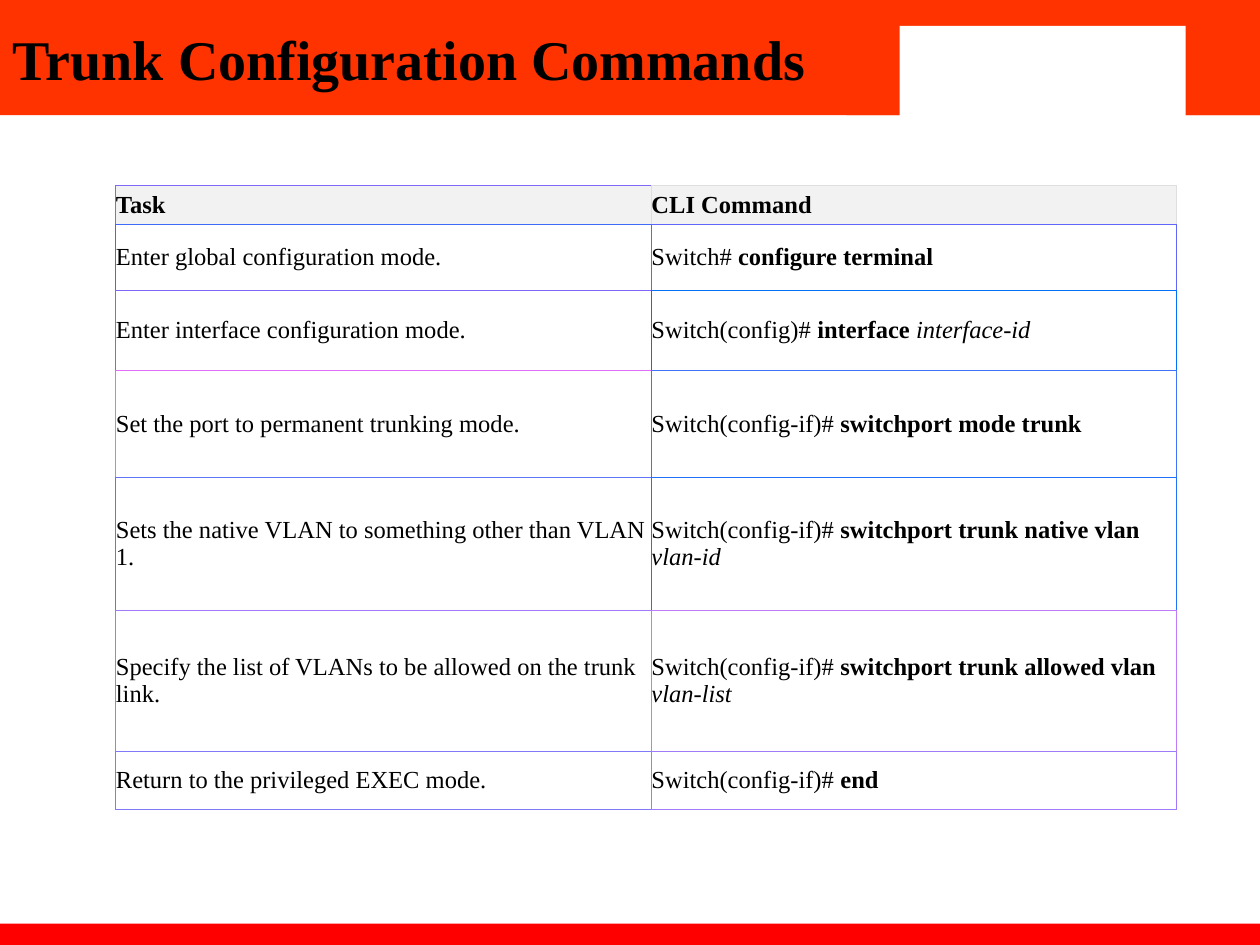
"""Build the slide that lists the trunk configuration commands."""
from dataclasses import dataclass
from itertools import zip_longest
from typing import NamedTuple

from lxml.etree import SubElement
from pptx import Presentation
from pptx.dml.color import RGBColor
from pptx.enum.shapes import MSO_SHAPE as Shape
from pptx.enum.text import MSO_ANCHOR as Anchor, MSO_AUTO_SIZE as AutoSize, PP_ALIGN as Align
from pptx.oxml.ns import qn
from pptx.util import Inches, Pt

WIDTH, HEIGHT = Inches(10), Inches(7.5)
FONT = "Times New Roman"
BLACK = RGBColor(0x00, 0x00, 0x00)
WHITE = RGBColor(0xFF, 0xFF, 0xFF)
HEADER_GREY = RGBColor(0xF2, 0xF2, 0xF2)
ORANGE = RGBColor(0xFF, 0x33, 0x00)
RED = RGBColor(0xFF, 0x00, 0x00)
TASK_EDGES = [
    RGBColor(0x80, 0x69, 0xF8), RGBColor(0x40, 0x6B, 0xF8), RGBColor(0x80, 0x66, 0xF8),
    RGBColor(0xE0, 0x6E, 0xF8), RGBColor(0x60, 0x74, 0xF8), RGBColor(0xA0, 0x7A, 0xF8),
    RGBColor(0x80, 0x79, 0xF8),
]
COMMAND_EDGES = [
    RGBColor(0xDF, 0xDF, 0xDF), RGBColor(0x60, 0x67, 0xF8), RGBColor(0x00, 0x71, 0xF8),
    RGBColor(0x40, 0x74, 0xF8), RGBColor(0x20, 0x73, 0xF8), RGBColor(0xC0, 0x7C, 0xF8),
    RGBColor(0xA0, 0x7B, 0xF8),
]


class Area(NamedTuple):
    """A rectangle in percent of the slide's width and height."""
    left: float
    top: float
    width: float
    height: float

    def lengths(self) -> tuple[int, int, int, int]:
        """Return the rectangle in slide units."""
        return across(self.left), down(self.top), across(self.width), down(self.height)


class Band(NamedTuple):
    """A plain coloured rectangle."""
    area: Area
    color: RGBColor


@dataclass
class Step:
    """A table row: a task, and a command as prompt, keyword and argument."""
    height: float
    task: str
    prompt: str
    keyword: str = ""
    argument: str = ""


HEADER_HEIGHT = 12.2
TITLE_AREA = Area(0, 0, 70.8, HEADER_HEIGHT)
BANDS = [
    Band(Area(0, 0, 100, HEADER_HEIGHT), ORANGE),
    Band(Area(0, 97.73, 100, 2.93), RED),
    Band(Area(67.2, 0, 32.8, HEADER_HEIGHT), ORANGE),
    Band(Area(71.4, 2.75, 22.7, 10), WHITE),
]
COLUMN_WIDTHS = [42.5, 41.7]
TABLE_LEFT, TABLE_TOP = 9.2, 19.67
STEPS = [
    Step(4.1, "Task", "CLI Command"),
    Step(6.93, "Enter global configuration mode.", "Switch# ", "configure terminal"),
    Step(8.5, "Enter interface configuration mode.",
         "Switch(config)# ", "interface ", "interface-id"),
    Step(11.3, "Set the port to permanent trunking mode.",
         "Switch(config-if)# ", "switchport mode trunk"),
    Step(14.1, "Sets the native VLAN to something other than VLAN 1.",
         "Switch(config-if)# ", "switchport trunk native vlan ", "vlan-id"),
    Step(14.93, "Specify the list of VLANs to be allowed on the trunk link.",
         "Switch(config-if)# ", "switchport trunk allowed vlan ", "vlan-list"),
    Step(6.13, "Return to the privileged EXEC mode.", "Switch(config-if)# ", "end"),
]


def across(percent: float) -> int:
    """Turn a share of the slide's width into a length."""
    return round(WIDTH * percent / 100)


def down(percent: float) -> int:
    """Turn a share of the slide's height into a length."""
    return round(HEIGHT * percent / 100)


def draw_band(page, band: Band) -> None:
    """Draw a flat rectangle."""
    box = page.shapes.add_shape(Shape.RECTANGLE, *band.area.lengths())
    box.shadow.inherit = False
    box.fill.solid()
    box.fill.fore_color.rgb = band.color
    box.line.fill.background()


def set_font(para, size: int, bold: bool) -> None:
    """Format a whole paragraph."""
    font = para.font
    font.name, font.size, font.bold = FONT, Pt(size), bold
    font.color.rgb = BLACK


def draw_title(page, text: str) -> None:
    """Place the title over the header band."""
    title = page.shapes.title
    title.left, title.top, title.width, title.height = TITLE_AREA.lengths()
    frame = title.text_frame
    frame.text = text
    frame.auto_size = AutoSize.NONE
    frame.vertical_anchor = Anchor.MIDDLE
    para = frame.paragraphs[0]
    para.alignment = Align.LEFT
    set_font(para, 32, True)
    page.shapes._spTree.append(title._element)


def set_borders(cell, own: RGBColor, right: RGBColor, bottom: RGBColor) -> None:
    """Line a cell's four sides; left and top take its own colour."""
    properties = cell._tc.get_or_add_tcPr()
    for side, color in (("lnL", own), ("lnR", right), ("lnT", own), ("lnB", bottom)):
        line = SubElement(properties, qn(f"a:{side}"), w=str(Pt(0.75)))
        SubElement(SubElement(line, qn("a:solidFill")), qn("a:srgbClr"), val=str(color))


def fill_cell(cell, texts: list[str], header: bool) -> None:
    """Write plain, bold and italic spans into a cell."""
    cell.margin_left = cell.margin_right = cell.margin_top = cell.margin_bottom = 0
    cell.vertical_anchor = Anchor.MIDDLE
    cell.fill.solid()
    cell.fill.fore_color.rgb = HEADER_GREY if header else WHITE
    para = cell.text_frame.paragraphs[0]
    set_font(para, 14, header)
    for text, style in zip(texts, (None, "bold", "italic")):
        if text:
            span = para.add_run()
            span.text = text
            if style:
                setattr(span.font, style, True)


def draw_table(page) -> None:
    """Draw the tasks beside their commands."""
    area = Area(TABLE_LEFT, TABLE_TOP, sum(COLUMN_WIDTHS), sum(step.height for step in STEPS))
    table = page.shapes.add_table(len(STEPS), len(COLUMN_WIDTHS), *area.lengths()).table
    table.first_row = table.horz_banding = False
    for column, width in zip(table.columns, COLUMN_WIDTHS):
        column.width = across(width)
    edges = list(zip(TASK_EDGES, COMMAND_EDGES))
    rows = zip_longest(STEPS, edges, edges[1:], fillvalue=edges[-1])
    for index, (step, own, below) in enumerate(rows):
        table.rows[index].height = down(step.height)
        contents = [step.task], [step.prompt, step.keyword, step.argument]
        for column, texts in enumerate(contents):
            cell = table.cell(index, column)
            set_borders(cell, own[column], own[1], below[column])
            fill_cell(cell, texts, index == 0)


def main() -> None:
    """Build and save the deck."""
    deck = Presentation()
    deck.slide_width, deck.slide_height = WIDTH, HEIGHT
    page = deck.slides.add_slide(deck.slide_layouts[5])
    for band in BANDS:
        draw_band(page, band)
    draw_title(page, "Trunk Configuration Commands")
    draw_table(page)
    deck.save("out.pptx")


if __name__ == "__main__":
    main()
